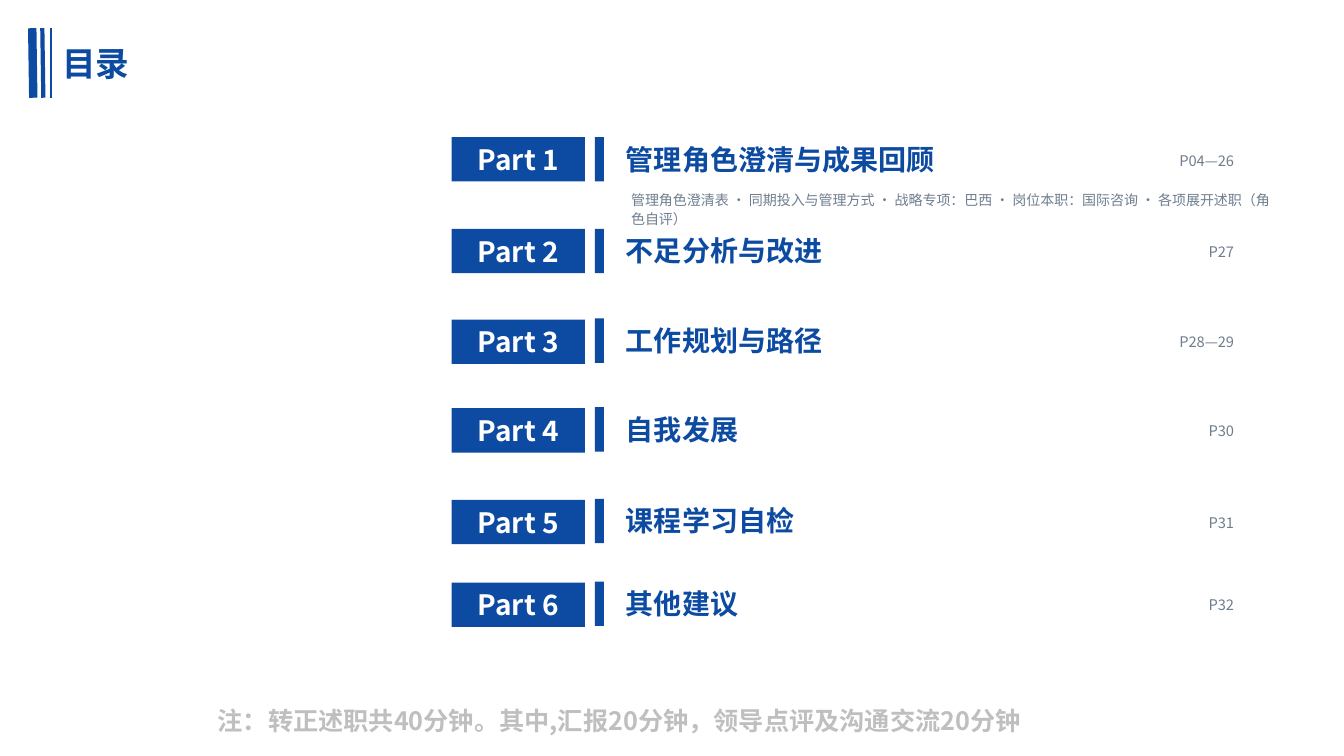
from pptx import Presentation
from pptx.dml.color import RGBColor
from pptx.enum.lang import MSO_LANGUAGE_ID
from pptx.enum.shapes import MSO_CONNECTOR, MSO_SHAPE
from pptx.enum.text import MSO_ANCHOR, PP_ALIGN
from pptx.oxml.ns import qn
from pptx.util import Inches, Pt
from lxml import etree

RECT = MSO_SHAPE.RECTANGLE
LINE = MSO_CONNECTOR.STRAIGHT
TOP, MIDDLE = MSO_ANCHOR.TOP, MSO_ANCHOR.MIDDLE
LEFT, CENTER, RIGHT = PP_ALIGN.LEFT, PP_ALIGN.CENTER, PP_ALIGN.RIGHT
CHINESE = MSO_LANGUAGE_ID.SIMPLIFIED_CHINESE
FONT = "Noto Sans CJK SC"
COLORS = {"blue": "0C4BA1", "white": "FFFFFF", "note": "BFBFBF", "slate": "6F7E8F"}

prs = Presentation()
prs.slide_width, prs.slide_height = Inches(13.33), Inches(7.5)
slide = prs.slides.add_slide(prs.slide_layouts[6])
shapes = slide.shapes


def write(shape, text, size, color, bold=True, align=LEFT, anchor=TOP, small=False):
    frame = shape.text_frame
    frame.word_wrap = True
    frame.vertical_anchor = anchor
    frame.text = text
    para = frame.paragraphs[0]
    para.alignment = align
    if small:
        frame.margin_left = frame.margin_right = Inches(0.06)
        frame.margin_top = frame.margin_bottom = Inches(0.04)
        para.line_spacing = 1.12
    font = para.runs[0].font
    font.size, font.bold, font.name = Pt(size), bold, FONT
    font.language_id = CHINESE
    font.color.rgb = RGBColor.from_string(COLORS[color])
    # East Asian glyphs take their own typeface
    etree.SubElement(para.runs[0]._r.rPr, qn("a:ea")).set("typeface", FONT)


def block(left, top, width, height):
    shape = shapes.add_shape(RECT, Inches(left), Inches(top), Inches(width), Inches(height))
    shape.shadow.inherit = False
    shape.fill.solid()
    shape.fill.fore_color.rgb = RGBColor.from_string(COLORS["blue"])
    shape.line.fill.background()
    return shape


# Stripes beside the heading
for start, end, weight in [(0.32, 0.33, 6), (0.42, 0.43, 3), (0.51, 0.51, 1.5)]:
    stripe = shapes.add_connector(LINE, Inches(start), Inches(0.28), Inches(end), Inches(0.97))
    stripe.line.color.rgb = RGBColor.from_string(COLORS["blue"])
    stripe.line.width = Pt(weight)
    etree.SubElement(stripe._element.spPr, qn("a:effectLst"))

# Heading and footnote
title = shapes.add_textbox(Inches(0.52), Inches(0.3), Inches(12.42), Inches(0.66))
write(title, "目录", 24, "blue", anchor=MIDDLE)
note = shapes.add_textbox(Inches(2.06), Inches(6.95), Inches(9.38), Inches(0.4))
write(note, "注：转正述职共40分钟。其中,汇报20分钟，领导点评及沟通交流20分钟", 18, "note")

# Contents rows: label, bar, topic, pages
parts = [
    (1.36, "管理角色澄清与成果回顾", "P04—26"),
    (2.27, "不足分析与改进", "P27"),
    (3.16, "工作规划与路径", "P28—29"),
    (4.04, "自我发展", "P30"),
    (4.95, "课程学习自检", "P31"),
    (5.77, "其他建议", "P32"),
]
for num, (top, name, pages) in enumerate(parts, 1):
    block(5.9, top, 0.09, 0.44)
    topic = shapes.add_textbox(Inches(6.11), Inches(top), Inches(6.19), Inches(0.44))
    write(topic, name, 20, "blue")
    label = block(4.48, top + 0.01 * (num > 2), 1.32, 0.44)
    write(label, f"Part {num}", 20, "white", align=CENTER, anchor=MIDDLE)
    page = shapes.add_textbox(Inches(10.9), Inches(top), Inches(1.4), Inches(0.44))
    write(page, pages, 10.5, "slate", bold=False, align=RIGHT, anchor=MIDDLE, small=True)

# Topics within the first part
detail = shapes.add_textbox(Inches(6.2), Inches(1.84), Inches(6.5), Inches(0.42))
write(detail, "管理角色澄清表 · 同期投入与管理方式 · 战略专项：巴西 · 岗位本职：国际咨询 · "
      "各项展开述职（角色自评）", 10, "slate", bold=False, small=True)

prs.save("out.pptx")
